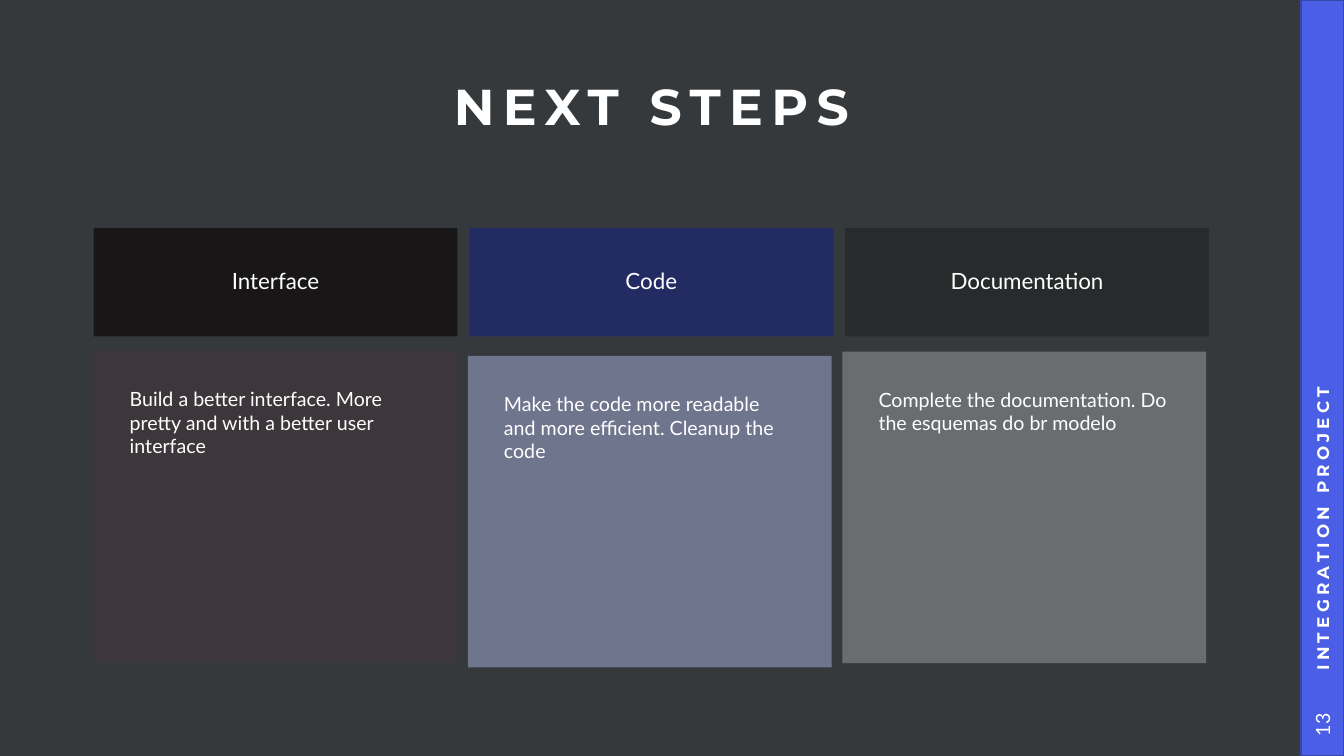
"""Build the "Next steps" slide: three topic cards and a vertical sidebar."""
from pptx import Presentation
from pptx.dml.color import RGBColor
from pptx.enum.shapes import MSO_SHAPE
from pptx.enum.text import MSO_ANCHOR, MSO_AUTO_SIZE, PP_ALIGN
from pptx.oxml.ns import qn
from pptx.util import Cm, Pt
from lxml import etree

RECTANGLE = MSO_SHAPE.RECTANGLE
TOP, MIDDLE = MSO_ANCHOR.TOP, MSO_ANCHOR.MIDDLE
LEFT, CENTER = PP_ALIGN.LEFT, PP_ALIGN.CENTER
NO_AUTOFIT = MSO_AUTO_SIZE.NONE

WHITE = RGBColor(0xFF, 0xFF, 0xFF)
BACKGROUND = RGBColor(0x36, 0x39, 0x3B)
SIDEBAR = RGBColor(0x4A, 0x5E, 0xE6)
SIDEBAR_EDGE = RGBColor(0x37, 0x46, 0xAA)
BLACK = RGBColor(0x18, 0x16, 0x17)
MAUVE = RGBColor(0x3D, 0x36, 0x3A)
NAVY = RGBColor(0x12, 0x21, 0x86)
LAVENDER = RGBColor(0xB7, 0xBF, 0xF5)
CHARCOAL = RGBColor(0x28, 0x2B, 0x2C)
SILVER = RGBColor(0xAC, 0xB0, 0xB3)


def write(shape, text, font, size, align, anchor, insets, bold=False, spacing=0, leading=1.0):
    frame = shape.text_frame
    frame.word_wrap = True
    frame.auto_size = NO_AUTOFIT
    frame.vertical_anchor = anchor
    frame.margin_left, frame.margin_top, frame.margin_right, frame.margin_bottom = map(Cm, insets)
    para = frame.paragraphs[0]
    para.alignment = align
    para.line_spacing = leading
    para.font.name = font
    para.font.size = Pt(size)
    para.font.bold = bold
    para.font.color.rgb = WHITE
    span = para.add_run()
    span.text = text
    if spacing:
        span._r.get_or_add_rPr().set("spc", str(spacing * 100))


def add_panel(left, top, width, height, color, opacity=100):
    panel = page.shapes.add_shape(RECTANGLE, Cm(left), Cm(top), Cm(width), Cm(height))
    panel.shadow.inherit = False
    panel.line.fill.background()
    panel.fill.solid()
    panel.fill.fore_color.rgb = color
    if opacity < 100:
        swatch = panel.fill._xPr.find(qn("a:solidFill"))[0]
        etree.SubElement(swatch, qn("a:alpha")).set("val", str(opacity * 1000))
    return panel


deck = Presentation()
deck.slide_width, deck.slide_height = Cm(33.87), Cm(19.05)
page = deck.slides.add_slide(deck.slide_layouts[5])
page.background.fill.solid()
page.background.fill.fore_color.rgb = BACKGROUND

sidebar = add_panel(32.79, 0, 1.07, 19.05, SIDEBAR)
sidebar.line.color.rgb = SIDEBAR_EDGE
sidebar.line.width = Pt(1)

cards = [
    ("Interface", BLACK, 100, "Build a better interface. More pretty and with a better user interface",
     MAUVE, 100, 2.36, 8.84),
    ("Code", NAVY, 53, "Make the code more readable and more efficient. Cleanup the code",
     LAVENDER, 45, 11.79, 8.97),
    ("Documentation", CHARCOAL, 100, "Complete the documentation. Do the esquemas do br modelo",
     SILVER, 44, 21.23, 8.86),
]
for column, (heading, head_color, head_opacity, detail,
             body_color, body_opacity, body_left, body_top) in enumerate(cards):
    head = add_panel(2.36 + column * 9.47, 5.74, 9.17, 2.74, head_color, head_opacity)
    write(head, heading, "Lato", 16, CENTER, MIDDLE, [0.74] * 4, leading=0.9)
    body = add_panel(body_left, body_top, 9.17, 7.85, body_color, body_opacity)
    write(body, detail, "Lato", 14, LEFT, TOP, [0.91] * 4)

title = page.shapes.title
title.left, title.top, title.width, title.height = Cm(2.36), Cm(1.27), Cm(28.12), Cm(2.97)
write(title, "NEXT STEPS", "Montserrat", 36, CENTER, MIDDLE, [0] * 4, bold=True, spacing=6, leading=0.9)

footer = page.shapes.add_textbox(Cm(24.59), Cm(8.2), Cm(17.48), Cm(1.07))
footer.rotation = 270
write(footer, "INTEGRATION PROJECT", "Montserrat", 12, LEFT, MIDDLE, (0.58, 0.13, 0.25, 0.13),
      bold=True, spacing=3)

number = page.shapes.add_textbox(Cm(32.54), Cm(17.73), Cm(1.57), Cm(1.07))
number.rotation = 270
write(number, "13", "Lato", 14, CENTER, MIDDLE, (0.25, 0.13, 0.25, 0.13))

deck.save("out.pptx")
